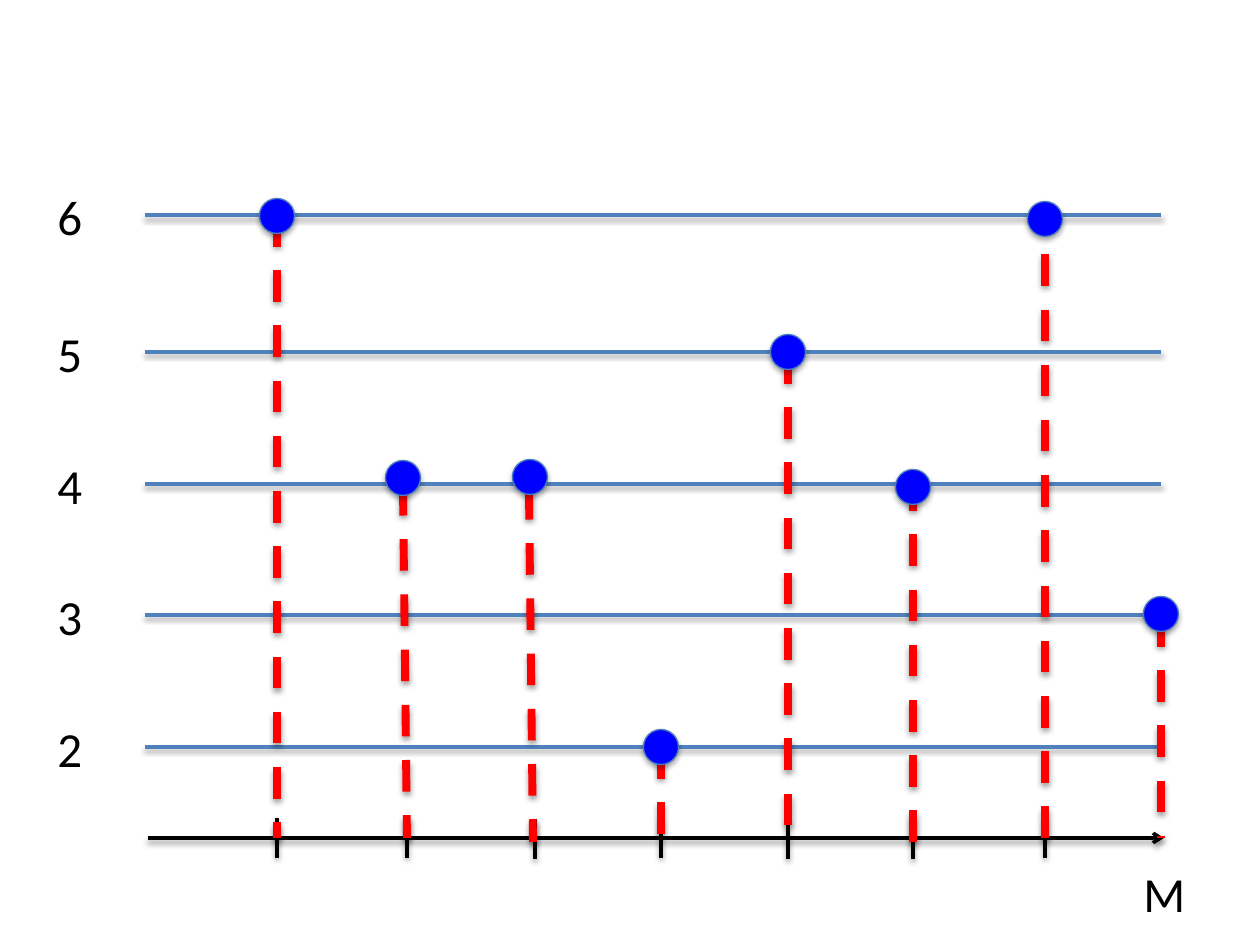
from lxml.etree import SubElement
from pptx import Presentation
from pptx.dml.color import RGBColor
from pptx.enum.dml import MSO_LINE_DASH_STYLE as Dash
from pptx.enum.shapes import MSO_CONNECTOR as Connector, MSO_SHAPE as Shape
from pptx.enum.text import MSO_AUTO_SIZE as AutoSize
from pptx.oxml.ns import qn
from pptx.util import Emu, Pt

# Content: lengths in pixels, 126 to the inch
SCALE = 914400 // 126
COLORS = {"level": "4F81BD", "axis": "000000", "stem": "FF0000",
          "dot": "0000FF", "dot_edge": "4B7EBC", "text": "000000"}
LEVELS = {"6": 215, "5": 352, "4": 484, "3": 615, "2": 747}
LEVEL_LEFT, LEVEL_RIGHT = 145, 1161
AXIS_START, AXIS_END, AXIS_Y = 148, 1164, 838
TICKS = [(277, 818), (407, 818), (535, 819), (661, 818),
         (788, 819), (913, 819), (1045, 818)]
TICK_HEIGHT = 40
STEMS = [  # start x, start y, end x, end y
    (277, 215, 277, 838), (403, 484, 407, 838), (529, 488, 533, 842),
    (661, 747, 661, 842), (788, 352, 788, 842), (913, 842, 913, 484),
    (1045, 838, 1045, 215), (1161, 615, 1161, 838)]
DOTS = [(277, 216), (403, 478), (530, 477), (661, 747),
        (788, 352), (913, 487), (1045, 219), (1161, 614)]
DOT_SIZE = 35


def px(value):
    return Emu(round(value * SCALE))


def color(name):
    return RGBColor.from_string(COLORS[name])


def add_shadow(shape, distance, opacity):
    properties = shape._element.spPr
    effects = properties.find(qn("a:effectLst"))
    if effects is None:
        effects = SubElement(properties, qn("a:effectLst"))
    shadow = SubElement(effects, qn("a:outerShdw"), blurRad="40000",
                        dist=str(distance), dir="5400000", rotWithShape="0")
    black = SubElement(shadow, qn("a:srgbClr"), val="000000")
    SubElement(black, qn("a:alpha"), val=str(opacity * 1000))


def add_line(x1, y1, x2, y2, color_name, width=2, dashed=False, arrow=False):
    line = slide.shapes.add_connector(Connector.STRAIGHT, px(x1), px(y1), px(x2), px(y2))
    line.line.color.rgb = color(color_name)
    line.line.width = Pt(width)
    if dashed:
        line.line.dash_style = Dash.DASH
    if arrow:
        SubElement(line.line._get_or_add_ln(), qn("a:tailEnd"), type="arrow")
    add_shadow(line, 20000, 38)


def add_label(text, left, top, width):
    frame = slide.shapes.add_textbox(px(left), px(top), px(width), px(72)).text_frame
    frame.word_wrap = False
    frame.auto_size = AutoSize.SHAPE_TO_FIT_TEXT
    run = frame.paragraphs[0].add_run()
    run.text = text
    run.font.name = "Calibri"
    run.font.size = Pt(28)
    run.font.color.rgb = color("text")


presentation = Presentation()
presentation.slide_width, presentation.slide_height = px(1260), px(945)
slide = presentation.slides.add_slide(presentation.slide_layouts[6])

# Level lines and their labels
for y in LEVELS.values():
    add_line(LEVEL_LEFT, y, LEVEL_RIGHT, y, "level")
for text, y in LEVELS.items():
    add_label(text, 45, y - 35, 50)

# Axis with its label and ticks
add_line(AXIS_START, AXIS_Y, AXIS_END, AXIS_Y, "axis", arrow=True)
add_label("M", 1131, 857, 68)
for x, top in TICKS:
    add_line(x, top, x, top + TICK_HEIGHT, "axis")

# Dashed stems
for stem in STEMS:
    add_line(*stem, "stem", width=4.5, dashed=True)

# Dots
for x, y in DOTS:
    dot = slide.shapes.add_shape(Shape.OVAL, px(x - DOT_SIZE / 2), px(y - DOT_SIZE / 2),
                                 px(DOT_SIZE), px(DOT_SIZE))
    dot.shadow.inherit = False
    dot.fill.solid()
    dot.fill.fore_color.rgb = color("dot")
    dot.line.color.rgb = color("dot_edge")
    dot.line.width = Pt(0.75)
    add_shadow(dot, 23000, 35)

presentation.save("out.pptx")
